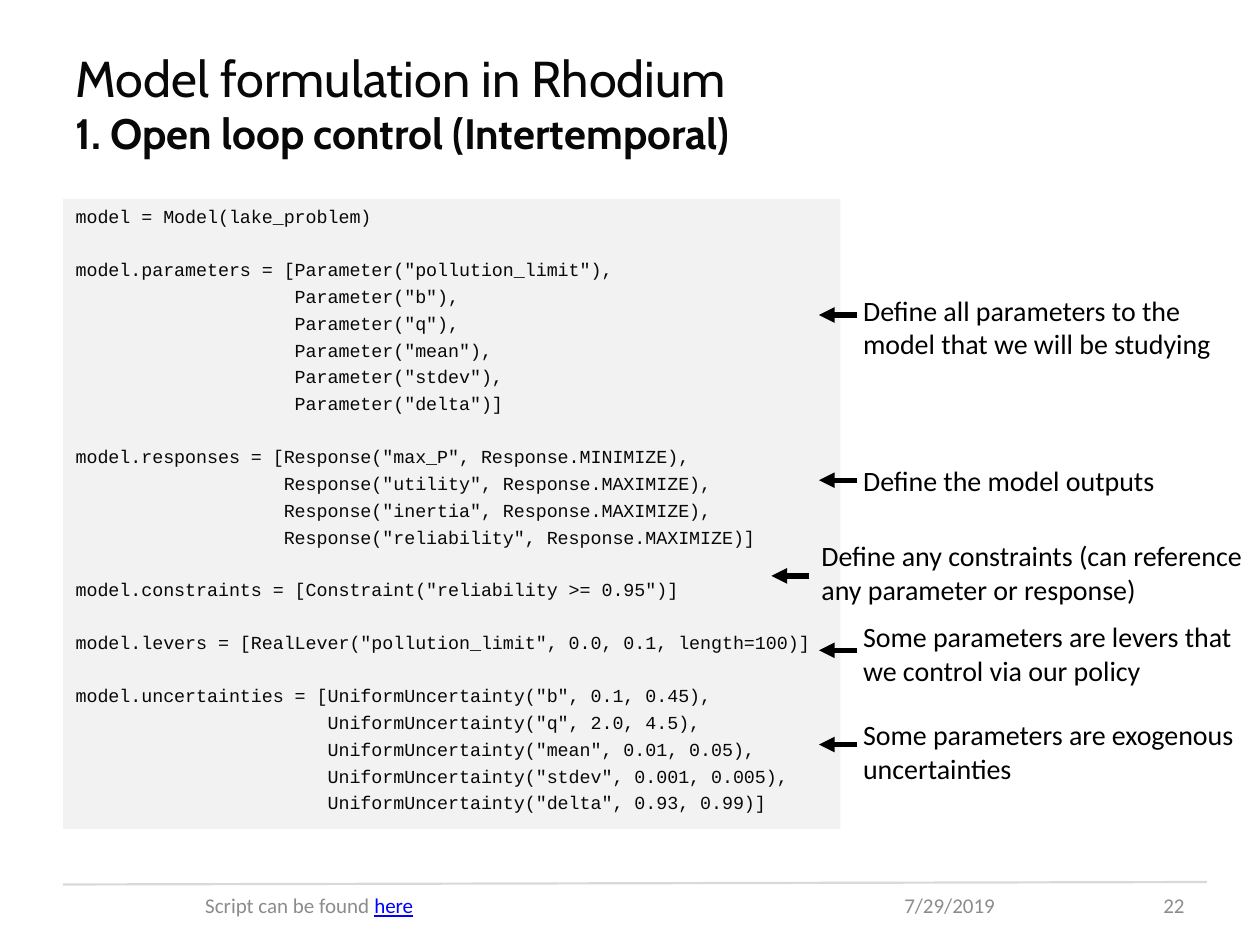
from lxml.etree import SubElement
from pptx import Presentation
from pptx.dml.color import RGBColor
from pptx.enum.shapes import MSO_CONNECTOR as Link
from pptx.enum.text import MSO_ANCHOR as Anchor, MSO_AUTO_SIZE as Fit, PP_ALIGN as Align
from pptx.oxml.ns import qn
from pptx.util import Cm, Pt

BLACK = RGBColor(0x00, 0x00, 0x00)
INK = RGBColor(0x08, 0x08, 0x08)
GREY = RGBColor(0x8C, 0x8C, 0x8C)
RULE = RGBColor(0xD9, 0xD9, 0xD9)
PANEL = RGBColor(0xF2, 0xF2, 0xF2)
BLUE = RGBColor(0x00, 0x00, 0xFF)

CODE_BLOCKS = [
    ['model = Model(lake_problem)'],
    ['model.parameters = [Parameter("pollution_limit"),',
     '                    Parameter("b"),',
     '                    Parameter("q"),',
     '                    Parameter("mean"),',
     '                    Parameter("stdev"),',
     '                    Parameter("delta")]'],
    ['model.responses = [Response("max_P", Response.MINIMIZE),',
     '                   Response("utility", Response.MAXIMIZE),',
     '                   Response("inertia", Response.MAXIMIZE),',
     '                   Response("reliability", Response.MAXIMIZE)]'],
    ['model.constraints = [Constraint("reliability >= 0.95")]'],
    ['model.levers = [RealLever("pollution_limit", 0.0, 0.1, length=100)]'],
    ['model.uncertainties = [UniformUncertainty("b", 0.1, 0.45),',
     '                       UniformUncertainty("q", 2.0, 4.5),',
     '                       UniformUncertainty("mean", 0.01, 0.05),',
     '                       UniformUncertainty("stdev", 0.001, 0.005),',
     '                       UniformUncertainty("delta", 0.93, 0.99)]'],
]
LINE_GAP, BLOCK_GAP = 2.8, 17.5

NOTES = [
    ("Define all parameters to the model that we will be studying",
     (17.15, 5.79, 8.33, 1.63), 0.12, 0.56),
    ("Define the model outputs", (17.15, 9.22, 8.33, 0.94), 0.12, 0.46),
    ("Define any constraints (can reference any parameter or response)",
     (16.31, 10.74, 9.17, 1.63), 0, 0.87),
    ("Some parameters are levers that we control via our policy",
     (17.15, 12.37, 8.33, 1.63), 0.12, 0.74),
    ("Some parameters are exogenous uncertainties",
     (17.15, 14.35, 8.33, 1.63), 0.12, 0.66),
]


def place(shape, box):
    """Move a shape to a box of left, top, width and height in centimetres."""
    shape.left, shape.top, shape.width, shape.height = map(Cm, box)


def add_span(para, text, font, size, color, bold=False):
    """Add one formatted run of text to a paragraph."""
    span = para.add_run()
    span.text = text
    span.font.name, span.font.size, span.font.bold = font, Pt(size), bold
    span.font.color.rgb = color
    return span


def add_line(page, start, end, color, width):
    """Draw a straight connector without a shadow."""
    line = page.shapes.add_connector(Link.STRAIGHT, *map(Cm, (*start, *end)))
    line.line.color.rgb = color
    line.line.width = Pt(width)
    SubElement(line._element.spPr, qn("a:effectLst"))
    return line


def add_text_box(page, box, anchor):
    """Add a wrapping text box and return its first paragraph."""
    frame = page.shapes.add_textbox(*map(Cm, box)).text_frame
    frame.word_wrap = True
    frame.vertical_anchor = anchor
    return frame.paragraphs[0]


def fill_title(page, box):
    """Write the two-line heading into the title placeholder."""
    title = page.shapes.title
    place(title, box)
    frame = title.text_frame
    frame.auto_size = Fit.NONE
    frame.vertical_anchor = Anchor.MIDDLE
    para = frame.paragraphs[0]
    para.alignment = Align.LEFT
    add_span(para, "Model formulation in Rhodium", "Cabin", 28.8, INK)
    para.add_line_break()
    add_span(para, "1. Open loop control (Intertemporal)", "Cabin", 24.3, INK, True)


def fill_code(page, box):
    """Write the model listing into the body placeholder on a grey panel."""
    panel = page.placeholders[1]
    place(panel, box)
    panel.fill.solid()
    panel.fill.fore_color.rgb = PANEL
    frame = panel.text_frame
    frame.auto_size = Fit.NONE
    for block_number, block in enumerate(CODE_BLOCKS):
        for line_number, code in enumerate(block):
            first = block_number == line_number == 0
            para = frame.paragraphs[0] if first else frame.add_paragraph()
            gap = LINE_GAP if line_number else BLOCK_GAP
            para.space_before = Pt(0 if first else gap)
            props = para._p.get_or_add_pPr()
            props.set("marL", str(Cm(0.96)))
            props.set("indent", str(-Cm(0.96)))
            SubElement(props, qn("a:buNone"))
            add_span(para, code, "Courier New", 10.5, INK)


def add_note(page, text, box, arrow_inset, arrow_drop):
    """Add a remark with an arrow pointing left from its edge to the code."""
    add_span(add_text_box(page, box, Anchor.TOP), text, "Calibri", 16, BLACK)
    x, y = box[0] + arrow_inset, box[1] + arrow_drop
    arrow = add_line(page, (x, y), (x - 0.76, y), BLACK, 3)
    SubElement(arrow.line._get_or_add_ln(), qn("a:tailEnd"), type="triangle")


def add_footer(page, box):
    """Add the rule, script reference, date and page number."""
    left, top, width, height = box
    add_line(page, (left, top + 0.05), (left + width, top), RULE, 1.25)
    parts = [
        ("Script can be found ", 1.47, 6.99, Align.CENTER),
        ("7/29/2019", 16.71, 2.74, Align.LEFT),
        ("22", 19.68, 3.18, Align.RIGHT),
    ]
    paras = []
    for text, offset, part_width, align in parts:
        part_box = (left + offset, top + 0.1, part_width, height)
        para = add_text_box(page, part_box, Anchor.MIDDLE)
        para.alignment = align
        add_span(para, text, "Calibri", 12, GREY)
        paras.append(para)
    add_span(paras[0], "here", "Calibri", 12, BLUE).font.underline = True


def main():
    """Build the slide and save the deck."""
    deck = Presentation()
    deck.slide_width, deck.slide_height = Cm(25.4), Cm(19.05)
    page = deck.slides.add_slide(deck.slide_layouts[1])
    fill_title(page, (1.27, 0.76, 22.86, 2.62))
    fill_code(page, (1.27, 4.01, 15.67, 12.7))
    for note in NOTES:
        add_note(page, *note)
    add_footer(page, (1.27, 17.78, 23.06, 0.74))
    deck.save("out.pptx")


if __name__ == "__main__":
    main()
